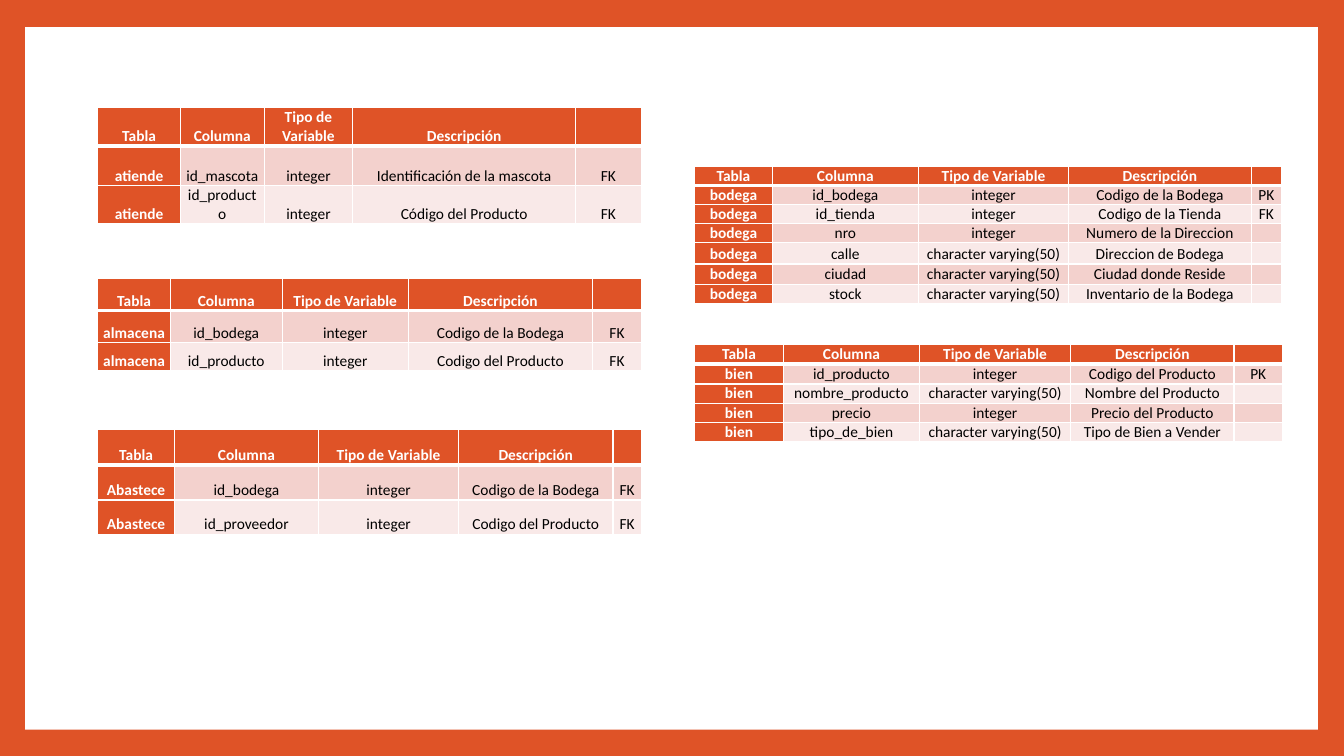
from lxml.etree import SubElement
from pptx import Presentation
from pptx.dml.color import RGBColor
from pptx.enum.shapes import MSO_SHAPE
from pptx.enum.text import MSO_ANCHOR, PP_ALIGN
from pptx.oxml.ns import qn
from pptx.util import Inches, Pt

ORANGE, PINK, PALE = "DF5327", "F3D1CD", "F9E9E8"
WHITE, BLACK = "FFFFFF", "000000"
HEADINGS = ("Tabla", "Columna", "Tipo de Variable", "Descripción", "")
LEFT_COLUMN, RIGHT_COLUMN = 0.97, 6.89
TEXT_TYPE = "character varying(50)"

# Each entry: name, left, top, column widths, row heights, fields
TABLES = [
    ("Abastece", LEFT_COLUMN, 4.26, (0.76, 1.43, 1.39, 1.53, 0.28), (0.35, 0.35, 0.34), [
        ("id_bodega", "integer", "Codigo de la Bodega", "FK"),
        ("id_proveedor", "integer", "Codigo del Producto", "FK"),
    ]),
    ("almacena", LEFT_COLUMN, 2.76, (0.72, 1.11, 1.25, 1.83, 0.48), (0.32, 0.32, 0.28), [
        ("id_bodega", "integer", "Codigo de la Bodega", "FK"),
        ("id_producto", "integer", "Codigo del Producto", "FK"),
    ]),
    ("atiende", LEFT_COLUMN, 1.07, (0.82, 0.83, 0.88, 2.21, 0.65), (0.38, 0.39, 0.38), [
        ("id_mascota", "integer", "Identificación de la mascota", "FK"),
        ("id_producto", "integer", "Código del Producto", "FK"),
    ]),
    ("bodega", RIGHT_COLUMN, 1.65, (0.77, 1.45, 1.49, 1.81, 0.3),
     (0.19, 0.19, 0.19, 0.19, 0.21, 0.2, 0.19), [
        ("id_bodega", "integer", "Codigo de la Bodega", "PK"),
        ("id_tienda", "integer", "Codigo de la Tienda", "FK"),
        ("nro", "integer", "Numero de la Direccion", ""),
        ("calle", TEXT_TYPE, "Direccion de Bodega", ""),
        ("ciudad", TEXT_TYPE, "Ciudad donde Reside", ""),
        ("stock", TEXT_TYPE, "Inventario de la Bodega", ""),
    ]),
    ("bien", RIGHT_COLUMN, 3.42, (0.88, 1.35, 1.5, 1.62, 0.48),
     (0.19, 0.2, 0.19, 0.19, 0.19), [
        ("id_producto", "integer", "Codigo del Producto", "PK"),
        ("nombre_producto", TEXT_TYPE, "Nombre del Producto", ""),
        ("precio", "integer", "Precio del Producto", ""),
        ("tipo_de_bien", TEXT_TYPE, "Tipo de Bien a Vender", ""),
    ]),
]


def set_fill(fill, color):
    fill.solid()
    fill.fore_color.rgb = RGBColor.from_string(color)


class SlideBuilder:
    font_name = "Calibri"
    font_size = Pt(11)

    def __init__(self, slide):
        self.slide = slide

    def background(self, color):
        set_fill(self.slide.background.fill, color)

    def panel(self, left, top, width, height, color):
        shape = self.slide.shapes.add_shape(
            MSO_SHAPE.RECTANGLE, Inches(left), Inches(top), Inches(width), Inches(height))
        shape.shadow.inherit = False
        set_fill(shape.fill, color)
        shape.line.fill.background()

    def borders(self, cell, row):
        properties = cell._tc.get_or_add_tcPr()
        # The rule under the header is shared by the first two rows
        widths = {"lnL": 1, "lnR": 1, "lnT": 3 if row == 1 else 1, "lnB": 3 if row == 0 else 1}
        for side, width in widths.items():
            line = SubElement(properties, qn(f"a:{side}"), w=str(Pt(width)))
            SubElement(SubElement(line, qn("a:solidFill")), qn("a:srgbClr"), val=WHITE)

    def cell(self, cell, text, row, column):
        is_heading = row == 0 or column == 0
        self.borders(cell, row)
        set_fill(cell.fill, ORANGE if is_heading else PINK if row % 2 else PALE)
        cell.margin_left = cell.margin_right = Inches(0.05)
        cell.margin_top = cell.margin_bottom = 0
        cell.vertical_anchor = MSO_ANCHOR.BOTTOM
        cell.text = text
        paragraph = cell.text_frame.paragraphs[0]
        paragraph.alignment = PP_ALIGN.CENTER
        font = paragraph.font
        font.name, font.size, font.bold = self.font_name, self.font_size, is_heading
        font.color.rgb = RGBColor.from_string(WHITE if is_heading else BLACK)
        if not text:
            # An empty cell takes its line height from the end mark
            end_mark = SubElement(paragraph._p, qn("a:endParaRPr"))
            end_mark.set("sz", str(int(self.font_size.pt * 100)))

    def table(self, name, left, top, widths, heights, fields):
        rows = [HEADINGS] + [(name, *field) for field in fields]
        table = self.slide.shapes.add_table(
            len(rows), len(widths), Inches(left), Inches(top),
            Inches(sum(widths)), Inches(sum(heights))).table
        table.first_col = True
        for column, width in zip(table.columns, widths):
            column.width = Inches(width)
        for row, height in zip(table.rows, heights):
            row.height = Inches(height)
        for row, texts in enumerate(rows):
            for column, text in enumerate(texts):
                self.cell(table.cell(row, column), text, row, column)


def main():
    presentation = Presentation()
    presentation.slide_width = Inches(13.33)
    presentation.slide_height = Inches(7.5)
    builder = SlideBuilder(presentation.slides.add_slide(presentation.slide_layouts[6]))

    # Orange frame around a white panel
    builder.background(ORANGE)
    builder.panel(0.25, 0.27, 12.82, 6.97, WHITE)

    # Data dictionary
    for table in TABLES:
        builder.table(*table)

    presentation.save("out.pptx")


if __name__ == "__main__":
    main()
